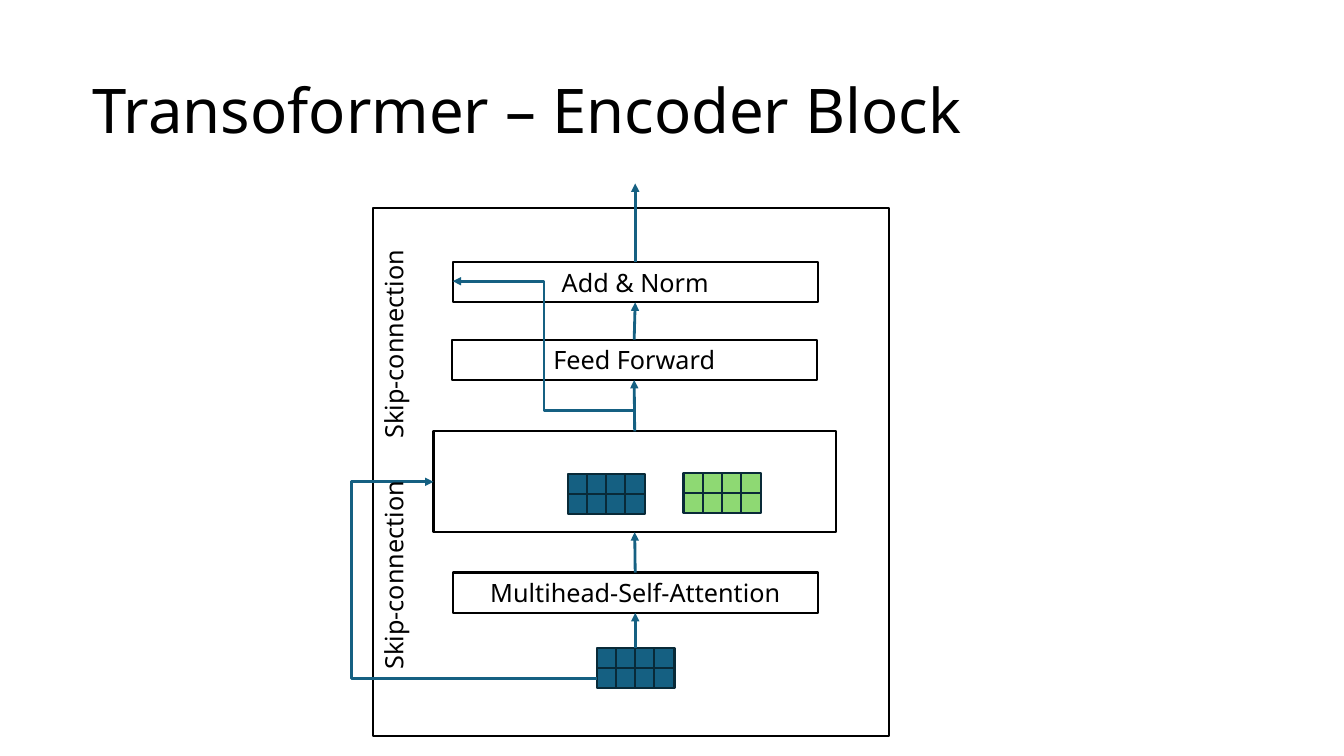
from pptx import Presentation
from pptx.dml.color import RGBColor
from pptx.enum.shapes import MSO_CONNECTOR, MSO_SHAPE
from pptx.enum.text import MSO_ANCHOR, PP_ALIGN
from pptx.oxml.ns import qn
from pptx.util import Pt
from lxml import etree

RECTANGLE = MSO_SHAPE.RECTANGLE
STRAIGHT, ELBOW = MSO_CONNECTOR.STRAIGHT, MSO_CONNECTOR.ELBOW
MIDDLE = MSO_ANCHOR.MIDDLE
LEFT, CENTER = PP_ALIGN.LEFT, PP_ALIGN.CENTER
PX = 9144
TOP, BOTTOM = 0, 2
FONT = "Noto Sans"
BLACK, WHITE, BLUE, GREEN, NAVY = "000000", "FFFFFF", "156082", "8ED973", "092A38"
CELL, PITCH = 20, 19


def color(value):
    return RGBColor.from_string(value)


def write(shape, text, size, alignment):
    frame = shape.text_frame
    frame.text = text
    frame.word_wrap = True
    frame.vertical_anchor = MIDDLE
    paragraph = frame.paragraphs[0]
    paragraph.alignment = alignment
    font = paragraph.runs[0].font
    font.name = FONT
    font.size = Pt(size)
    font.color.rgb = color(BLACK)


presentation = Presentation()
presentation.slide_width = 1333 * PX
presentation.slide_height = 750 * PX
slide = presentation.slides.add_slide(presentation.slide_layouts[5])
shapes = slide.shapes

title = shapes.title
title.left, title.top, title.width, title.height = 92 * PX, 40 * PX, 1150 * PX, 145 * PX
write(title, "Transoformer – Encoder Block", 44, LEFT)
title_frame = title.text_frame
title_frame.margin_left = title_frame.margin_right = 0
title_frame.margin_top = title_frame.margin_bottom = 0
title_frame.paragraphs[0].line_spacing = 0.9

rectangles = [
    (370, 206, 512, 524, None, BLACK, ""),
    (430, 428, 399, 100, None, BLACK, ""),
    (449, 568, 362, 40, WHITE, BLACK, "Multihead-Self-Attention"),
    (448, 337, 362, 40, WHITE, BLACK, "Feed Forward"),
    (449, 260, 362, 40, WHITE, BLACK, "Add & Norm"),
]
for left, top, fill in [(592, 643, BLUE), (678, 469, GREEN), (563, 470, BLUE)]:
    for row in range(2):
        for column in range(4):
            rectangles.append(
                (left + column * PITCH, top + row * CELL, CELL, CELL, fill, NAVY, "")
            )

drawn = []
for left, top, width, height, fill, line, text in rectangles:
    shape = shapes.add_shape(RECTANGLE, left * PX, top * PX, width * PX, height * PX)
    shape.shadow.inherit = False
    if fill:
        shape.fill.solid()
        shape.fill.fore_color.rgb = color(fill)
    else:
        shape.fill.background()
    shape.line.color.rgb = color(line)
    shape.line.width = Pt(1.5)
    if text:
        write(shape, text, 18, CENTER)
    drawn.append(shape)
sum_box, attention, feed_forward, add_norm = drawn[1:5]

arrows = [
    (STRAIGHT, 630, 643, 630, 608, None, attention, None),
    (STRAIGHT, 630, 568, 630, 528, attention, sum_box, None),
    (STRAIGHT, 630, 428, 629, 377, sum_box, feed_forward, None),
    (STRAIGHT, 630, 337, 630, 300, feed_forward, add_norm, None),
    (STRAIGHT, 630, 260, 630, 182, add_norm, None, None),
    (ELBOW, 592, 673, 430, 478, None, None, 150000),
    (ELBOW, 630, 407, 449, 279, None, None, 50000),
]
for kind, x1, y1, x2, y2, source, target, bend in arrows:
    connector = shapes.add_connector(kind, x1 * PX, y1 * PX, x2 * PX, y2 * PX)
    if source:
        connector.begin_connect(source, TOP)
    if target:
        connector.end_connect(target, BOTTOM)
    connector.line.color.rgb = color(BLUE)
    connector.line.width = Pt(0)
    properties = connector._element.spPr
    etree.SubElement(properties.find(qn("a:ln")), qn("a:tailEnd"), type="triangle")
    etree.SubElement(properties, qn("a:effectLst"))
    if bend:
        adjustments = properties.find(qn("a:prstGeom")).find(qn("a:avLst"))
        etree.SubElement(adjustments, qn("a:gd"), name="adj1", fmla=f"val {bend}")

for top in (548, 319):
    label = shapes.add_textbox(284 * PX, top * PX, 212 * PX, 40 * PX)
    label.rotation = 270
    write(label, "Skip-connection", 18, LEFT)

presentation.save("out.pptx")
